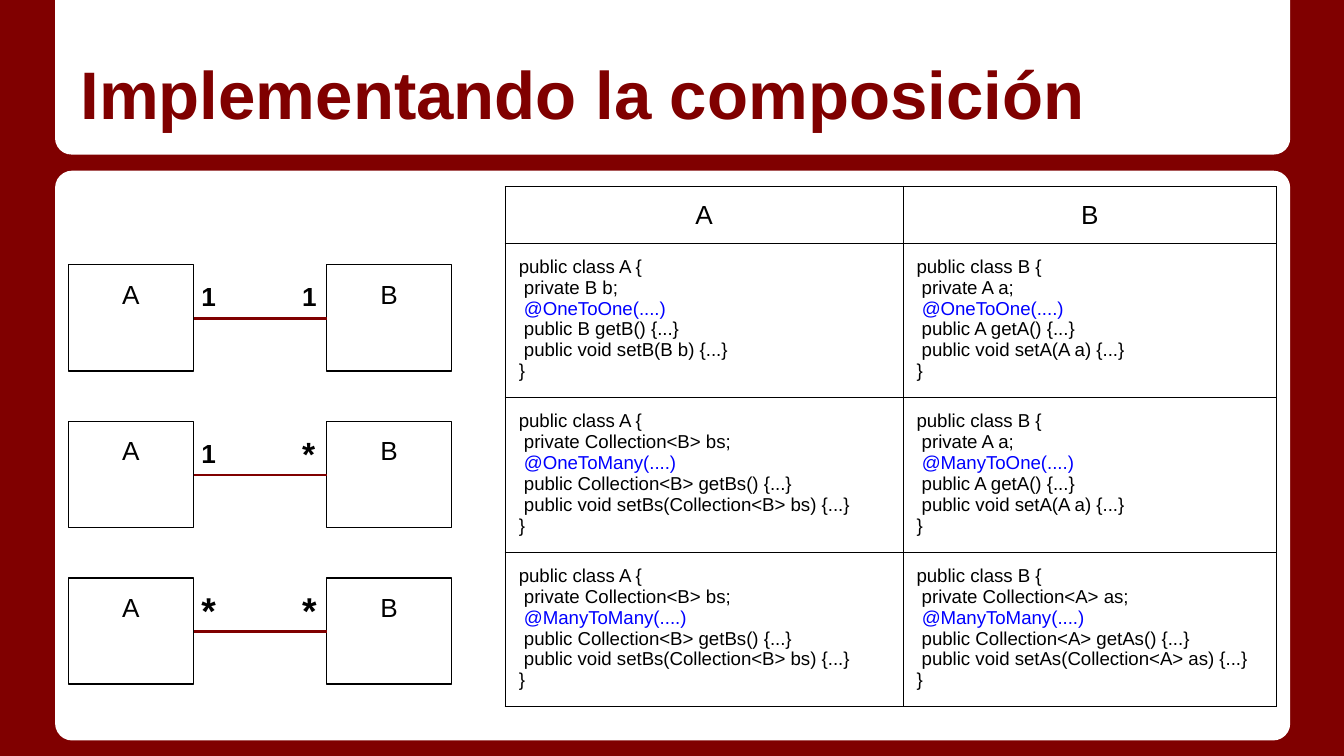
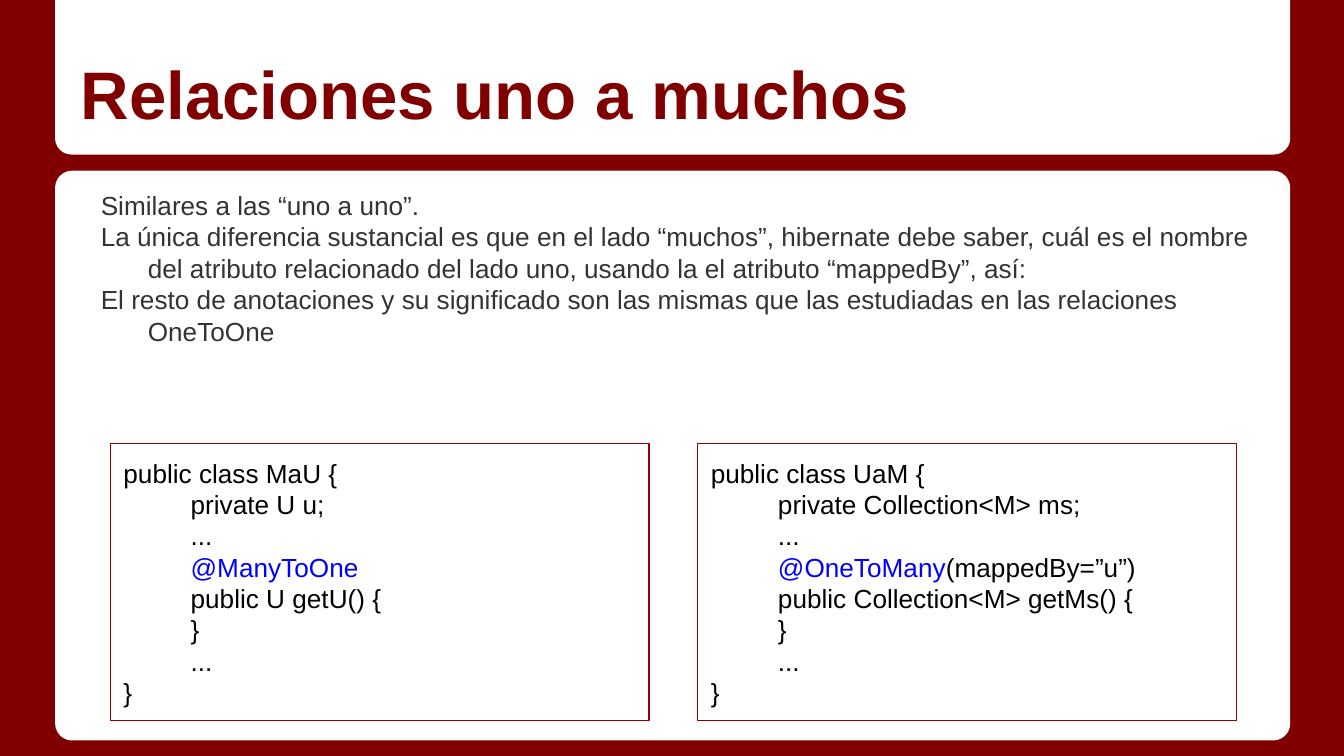
from lxml import etree
from pptx import Presentation
from pptx import util as u
from pptx.dml.color import RGBColor
from pptx.enum import shapes, text
from pptx.oxml.ns import qn

HEX = {"wine": "800000", "white": "FFFFFF", "black": "000000",
       "gray": "333333", "blue": "0000FF", "edge": "980000"}
FONT = "Arial"
PAD = 0.1

BANDS = [  # preset, top, height, corner adjustments
    (shapes.MSO_SHAPE.ROUND_2_SAME_RECTANGLE, 0, 1.15, (0, 0.106)),
    (shapes.MSO_SHAPE.ROUNDED_RECTANGLE, 1.27, 4.24, (0.03,)),
]
TITLES = ["Implementando la composición", "Relaciones uno a muchos"]

# Ends of each relation: sign at A, sign at B, size of the signs
LINKS = [(("1", 14), ("1", 14)), (("1", 14), ("*", 18)), (("*", 20), ("*", 20))]
WORDS = {"1": "One", "*": "Many"}

POINTS = [
    "Similares a las “uno a uno”.",
    "La única diferencia sustancial es que en el lado “muchos”, hibernate debe "
    "saber, cuál es el nombre del atributo relacionado del lado uno, usando la "
    "el atributo “mappedBy”, así:",
    "El resto de anotaciones y su significado son las mismas que las estudiadas "
    "en las relaciones OneToOne",
]
# Class, type, field, annotation runs
BEANS = [
    ("MaU", "U", "u", ("@ManyToOne",)),
    ("UaM", "Collection<M>", "ms", ("@OneToMany", "(mappedBy=”u”)")),
]


def color(name):
    return RGBColor.from_string(HEX[name])


def add_run(para, words, size, tint="black", bold=False):
    run = para.add_run()
    run.text = words
    font = run.font
    font.name, font.size, font.bold = FONT, u.Pt(size), bold
    font.color.rgb = color(tint)


def write(frame, lines, size, tint="black", bold=False, align=text.PP_ALIGN.LEFT):
    """Write one paragraph a line; a line is a tuple of runs, annotations in blue."""
    for i, line in enumerate(lines):
        para = frame.paragraphs[0] if i == 0 else frame.add_paragraph()
        para.alignment = align
        for words in (line if isinstance(line, tuple) else (line,)):
            add_run(para, words, size, "blue" if words[0] == "@" else tint, bold)


def setup(frame, anchor=text.MSO_ANCHOR.TOP):
    frame.word_wrap = True
    frame.auto_size = text.MSO_AUTO_SIZE.NONE
    frame.vertical_anchor = anchor
    frame.margin_left = frame.margin_right = u.Inches(PAD)
    frame.margin_top = frame.margin_bottom = u.Inches(PAD)


def place(shape, left, top, width, height):
    shape.left, shape.top = u.Inches(left), u.Inches(top)
    shape.width, shape.height = u.Inches(width), u.Inches(height)


def add_box(parent, left, top, width, height, edge):
    box = parent.add_shape(shapes.MSO_SHAPE.RECTANGLE, *map(u.Inches, (left, top, width, height)))
    box.shadow.inherit = False
    box.fill.background()
    box.line.color.rgb = color(edge)
    box.line.width = u.Pt(0.75)
    setup(box.text_frame)
    return box.text_frame


def add_bands(master, slide):
    """Draw the white bands and move them behind everything on the master."""
    for i, (kind, top, height, bends) in enumerate(BANDS):
        band = slide.shapes.add_shape(kind, *map(u.Inches, (0.41, top, 9.19, height)))
        band.shadow.inherit = False
        band.fill.solid()
        band.fill.fore_color.rgb = color("white")
        band.line.fill.background()
        for j, bend in enumerate(bends):
            band.adjustments[j] = bend
        band.element.xpath(".//p:cNvPr")[0].set("id", str(100 + i))
        master.shapes.element.insert(2, band.element)


def add_title(slide, words):
    title = slide.shapes.title
    place(title, 0.5, 0.15, 9, 0.94)
    setup(title.text_frame, text.MSO_ANCHOR.BOTTOM)
    write(title.text_frame, [words], 36, "wine", True)


def add_link(slide, top, signs):
    group = slide.shapes.add_group_shape().shapes
    left, width, gap = 0.51, 0.93, 0.99
    for i, name in enumerate("AB"):
        frame = add_box(group, left + i * (width + gap), top, width, 0.79, "black")
        write(frame, [name], 14, align=text.PP_ALIGN.CENTER)
    ends = (left + width, top + 0.4, left + width + gap, top + 0.4)
    line = group.add_connector(shapes.MSO_CONNECTOR.STRAIGHT, *map(u.Inches, ends))
    line.line.color.rgb = color("wine")
    line.line.width = u.Pt(1.5)
    etree.SubElement(line.element.spPr, qn("a:effectLst"))
    for x, (sign, size) in zip((1.4, 2.15), signs):
        label = group.add_textbox(*map(u.Inches, (x, top + 0.12, 0.22, 0.23)))
        setup(label.text_frame, text.MSO_ANCHOR.MIDDLE)
        write(label.text_frame, [sign], size, bold=True)


def entity(name, other, near, far):
    """Lines of the class on one side of a relation."""
    kind, field = other, other.lower()
    if far == "*":
        kind, field = f"Collection<{other}>", field + "s"
    cap = field.capitalize()
    return [f"public class {name} {{", f" private {kind} {field};",
            (" ", f"@{WORDS[near]}To{WORDS[far]}(....)"),
            f" public {kind} get{cap}() {{...}}",
            f" public void set{cap}({kind} {field}) {{...}}", "}"]


def fill_cell(cell, lines, size, align):
    cell.fill.background()
    cell.margin_left = cell.margin_right = u.Inches(PAD)
    cell.margin_top = cell.margin_bottom = u.Inches(PAD)
    write(cell.text_frame, lines, size, align=align)
    props = cell._tc.get_or_add_tcPr()
    for i, side in enumerate(("lnL", "lnR", "lnT", "lnB")):
        edge = etree.Element(qn("a:" + side), w=str(u.Pt(0.75)))
        fill = etree.SubElement(edge, qn("a:solidFill"))
        etree.SubElement(fill, qn("a:srgbClr"), val=HEX["black"])
        props.insert(i, edge)


def add_grid(slide):
    cols, rows = (2.96, 2.78), (0.41, 1.15, 1.15, 1.15)
    area = map(u.Inches, (3.76, 1.39, sum(cols), sum(rows)))
    table = slide.shapes.add_table(len(rows), len(cols), *area).table
    table.first_row = table.horz_banding = False
    for col, width in zip(table.columns, cols):
        col.width = u.Inches(width)
    for row, height in zip(table.rows, rows):
        row.height = u.Inches(height)
    for c, name in enumerate("AB"):
        fill_cell(table.cell(0, c), [name], 14, text.PP_ALIGN.CENTER)
    for r, ((a, _), (b, _)) in enumerate(LINKS, 1):
        fill_cell(table.cell(r, 0), entity("A", "B", a, b), 10, text.PP_ALIGN.LEFT)
        fill_cell(table.cell(r, 1), entity("B", "A", b, a), 10, text.PP_ALIGN.LEFT)


def add_points(slide):
    body = slide.placeholders[1]
    place(body, 0.5, 1.31, 9, 1.11)
    setup(body.text_frame)
    write(body.text_frame, POINTS, 14, "gray")
    for para in body.text_frame.paragraphs:
        para.space_before = u.Pt(0)
        props = para._p.get_or_add_pPr()
        props.set("marL", str(u.Inches(0.5)))
        props.set("indent", str(u.Inches(-0.35)))
        etree.SubElement(props, qn("a:buNone"))


def add_bean(slide, left, name, kind, field, note):
    lines = [f"public class {name} {{", f"\tprivate {kind} {field};", "\t...",
             ("\t", *note), f"\tpublic {kind} get{field.capitalize()}() {{",
             "\t}", "\t...", "}"]
    write(add_box(slide.shapes, left, 3.3, 4.01, 2.06, "edge" if left > 5 else "edge"), lines, 14)


def main():
    deck = Presentation()
    deck.slide_width, deck.slide_height = u.Inches(10), u.Inches(5.625)
    master = deck.slide_master
    master.background.fill.solid()
    master.background.fill.fore_color.rgb = color("wine")

    first = deck.slides.add_slide(deck.slide_layouts[5])
    second = deck.slides.add_slide(deck.slide_layouts[1])
    add_bands(master, first)
    for slide, words in zip((first, second), TITLES):
        add_title(slide, words)

    add_grid(first)
    for i, signs in enumerate(LINKS):
        add_link(first, 1.97 + i * 1.165, signs)

    add_points(second)
    for i, bean in enumerate(BEANS):
        add_bean(second, 0.82 + i * 4.37, *bean)
    deck.save("out.pptx")


if __name__ == "__main__":
    main()
